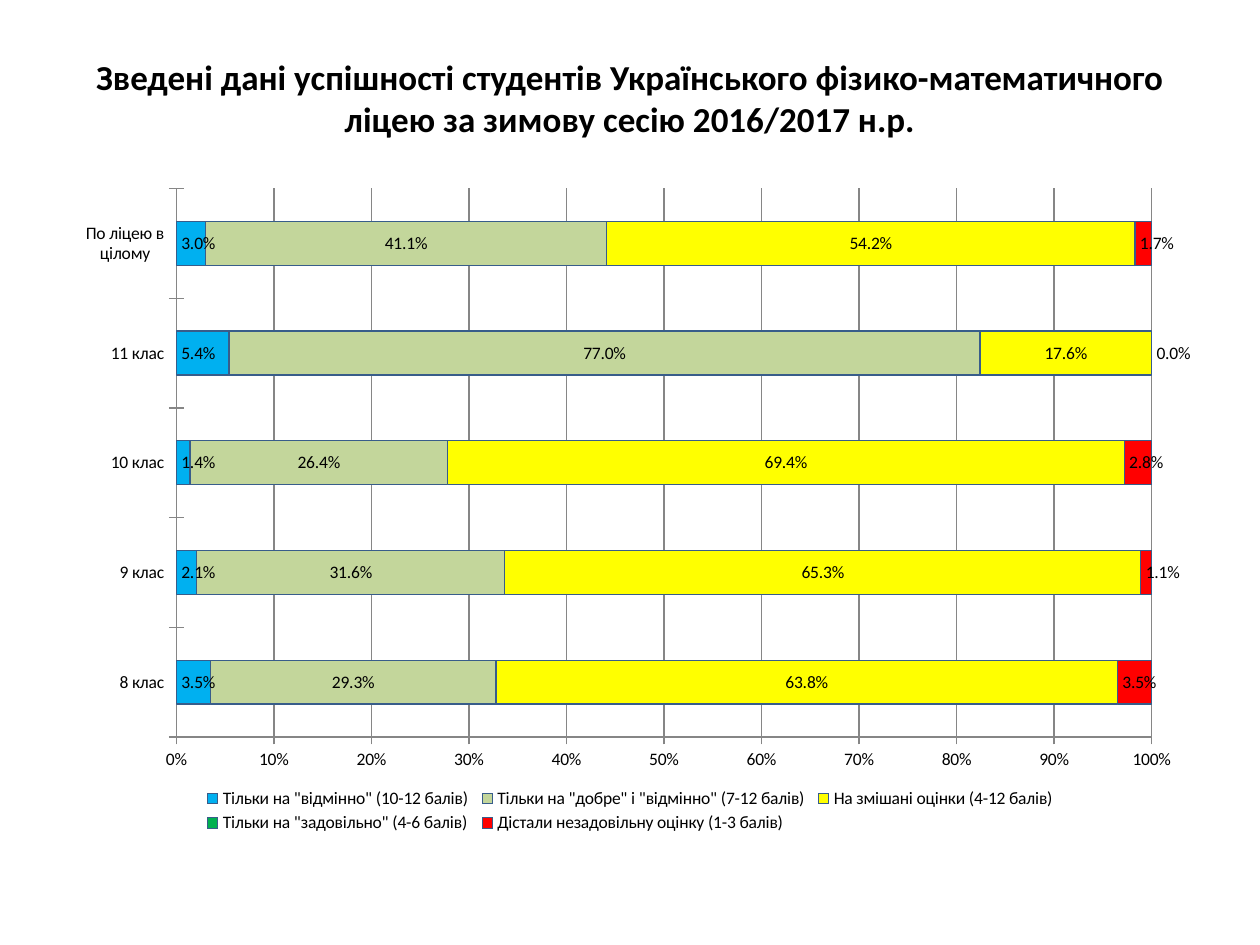
from dataclasses import dataclass

from lxml import etree
from pptx import Presentation
from pptx import util as u
from pptx.chart import data as chart_data
from pptx.dml import color
from pptx.enum import chart as ch, text


@dataclass(frozen=True)
class Theme:
    font: str = "Calibri"
    ink: str = "000000"
    outline: str = "385D8A"
    grid: str = "868686"
    title_size: int = 20
    chart_size: int = 10
    line_width: float = 0.75


THEME = Theme()
TITLE = ("Зведені дані успішності студентів Українського фізико-математичного "
         "ліцею за зимову сесію 2016/2017 н.р.")
CLASSES = ["8 клас", "9 клас", "10 клас", "11 клас", "По ліцею в цілому"]
BASE, CENTER = ch.XL_LABEL_POSITION.INSIDE_BASE, ch.XL_LABEL_POSITION.CENTER
GRADES = [
    ('Тільки на "відмінно" (10-12 балів)', "00B0F0", BASE,
     (0.035, 0.021, 0.014, 0.054, 0.03)),
    ('Тільки на "добре" і "відмінно" (7-12 балів)', "C3D69B", CENTER,
     (0.293, 0.316, 0.264, 0.77, 0.411)),
    ("На змішані оцінки (4-12 балів)", "FFFF00", CENTER,
     (0.638, 0.653, 0.694, 0.176, 0.542)),
    ('Тільки на "задовільно" (4-6 балів)', "00B050", None, (0, 0, 0, 0, 0)),
    ("Дістали незадовільну оцінку (1-3 балів)", "FF0000", BASE,
     (0.035, 0.011, 0.028, 0, 0.017)),
]
PLOT_AREA = {"x": 0.1, "y": 0.02, "w": 0.86, "h": 0.82}
LEGEND_AREA = {"x": 0.12, "y": 0.91, "w": 0.76, "h": 0.08}
CHART_NS = "http://schemas.openxmlformats.org/drawingml/2006/chart"


def rgb(value):
    return color.RGBColor.from_string(value)


def style_font(font, size):
    font.name = THEME.font
    font.size = u.Pt(size)
    font.color.rgb = rgb(THEME.ink)


def style_line(line, value):
    line.color.rgb = rgb(value)
    line.width = u.Pt(THEME.line_width)


def place(parent, index, area, inner=False):
    tag = "{%s}" % CHART_NS
    for old in parent.findall(tag + "layout"):
        parent.remove(old)
    layout = etree.Element(tag + "layout")
    manual = etree.SubElement(layout, tag + "manualLayout")
    settings = [("layoutTarget", "inner")] if inner else []
    settings += [("xMode", "edge"), ("yMode", "edge"), *area.items()]
    for name, value in settings:
        etree.SubElement(manual, tag + name, val=str(value))
    parent.insert(index, layout)


deck = Presentation()
deck.slide_width, deck.slide_height = u.Inches(10), u.Inches(7.5)
slide = deck.slides.add_slide(deck.slide_layouts[5])

title = slide.shapes.title
title.left, title.top = u.Inches(0.5), u.Inches(0.3)
title.width, title.height = u.Inches(9), u.Inches(1.25)
frame = title.text_frame
frame.word_wrap = True
frame.auto_size = text.MSO_AUTO_SIZE.NONE
frame.vertical_anchor = text.MSO_ANCHOR.MIDDLE
frame.margin_bottom = u.Inches(0.35)
heading = frame.paragraphs[0]
heading.alignment = text.PP_ALIGN.CENTER
words = heading.add_run()
words.text = TITLE
words.font.bold = True
style_font(words.font, THEME.title_size)

results = chart_data.CategoryChartData(number_format="0.0%")
results.categories = CLASSES
for name, _, _, shares in GRADES:
    results.add_series(name, shares)
chart = slide.shapes.add_chart(
    ch.XL_CHART_TYPE.BAR_STACKED_100, u.Inches(0.5), u.Inches(1.39),
    u.Inches(9), u.Inches(5.31), results).chart
chart.has_title = False
style_font(chart.font, THEME.chart_size)

bars = chart.plots[0]
bars.gap_width, bars.overlap, bars.vary_by_categories = 150, 100, False
for series, (_, fill, position, _) in zip(bars.series, GRADES):
    series.format.fill.solid()
    series.format.fill.fore_color.rgb = rgb(fill)
    style_line(series.format.line, THEME.outline)
    if position is not None:
        labels = series.data_labels
        labels.show_value = True
        labels.number_format, labels.number_format_is_linked = "0.0%", False
        labels.position = position
        style_font(labels.font, THEME.chart_size)

for axis in (chart.category_axis, chart.value_axis):
    axis.major_tick_mark = ch.XL_TICK_MARK.CROSS
    axis.minor_tick_mark = ch.XL_TICK_MARK.NONE
    style_line(axis.format.line, THEME.grid)
    style_font(axis.tick_labels.font, THEME.chart_size)
shares_axis = chart.value_axis
shares_axis.minimum_scale, shares_axis.maximum_scale = 0, 1
shares_axis.major_unit = 0.1
shares_axis.has_major_gridlines = True
style_line(shares_axis.major_gridlines.format.line, THEME.grid)
shares_axis.tick_labels.number_format = "0%"
shares_axis.tick_labels.number_format_is_linked = False

chart.has_legend = True
legend = chart.legend
legend.position = ch.XL_LEGEND_POSITION.BOTTOM
legend.include_in_layout = False
style_font(legend.font, THEME.chart_size)
plot_area = chart.element.find(".//{%s}plotArea" % CHART_NS)
legend_area = chart.element.find(".//{%s}legend" % CHART_NS)
place(plot_area, 0, PLOT_AREA, inner=True)
place(legend_area, 1, LEGEND_AREA)

deck.save("out.pptx")
